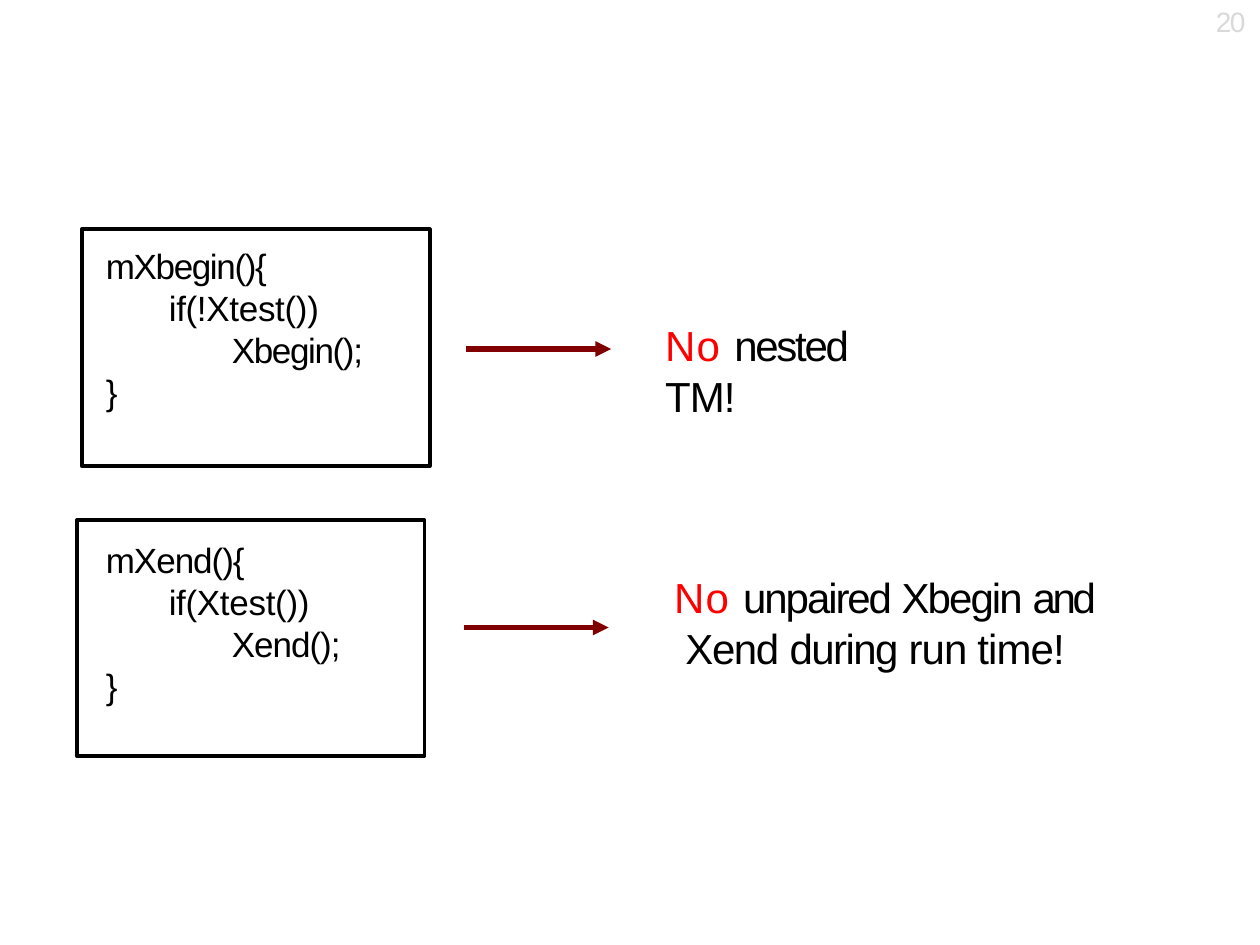
from pptx import Presentation
from pptx.dml.color import RGBColor
from pptx.enum.shapes import MSO_CONNECTOR, MSO_SHAPE
from pptx.enum.text import MSO_ANCHOR
from pptx.oxml.ns import qn
from pptx.util import Inches, Pt
from lxml.etree import SubElement

BLACK, RED, MAROON, GREY = "000000", "FF0000", "800000", "D9D9D9"
TAB = 0.5  # inches per code indent level

# Runs are (text, colour, letter spacing in points); lines are (indent, runs).
PAGE_NUMBER = [(0.01, [("20", GREY, -0.9)])]
ROWS = [
    {
        "box": (0.65, 1.82, 2.76, 1.88), "margins": (0.19, 0.12),
        "code": [(0, "mXbegin(){", -0.8), (1, "if(!Xtest())", -0.2),
                 (2, "Xbegin();", -0.8), (0, "}", -0.1)],
        "arrow": (3.7, 2.77),
        "label": (5.27, 2.53, 2.06, 0.83),
        "claim": [(0.01, [("No ", RED, 0.7), ("nested", BLACK, -1.3)]),
                  (0.01, [("TM!", BLACK, -0.6)])],
    },
    {
        "box": (0.61, 4.13, 2.76, 1.87), "margins": (0.23, 0.14),
        "code": [(0, "mXend(){", -0.6), (1, "if(Xtest())", -0.2),
                 (2, "Xend();", -0.6), (0, "}", -0.1)],
        "arrow": (3.68, 4.98),
        "label": (5.34, 4.53, 3.5, 0.83),
        "claim": [(0.01, [("No ", RED, 0.7), ("unpaired ", BLACK, -1.2),
                          ("Xbegin ", BLACK, -1.1), ("and", BLACK, -1.9)]),
                  (0.1, [("Xend ", BLACK, -0.8), ("during ", BLACK, -0.9),
                         ("run time!", BLACK, -0.5)])],
    },
]
ARROW_LENGTH = 1.15


def rgb(value):
    return RGBColor.from_string(value)


def write(s, lines, size, top=0.01):
    tf = s.text_frame
    tf.word_wrap = True
    tf.vertical_anchor = MSO_ANCHOR.TOP
    tf.margin_left = tf.margin_right = tf.margin_bottom = 0
    tf.margin_top = Inches(top)
    for i, (indent, runs) in enumerate(lines):
        p = tf.add_paragraph() if i else tf.paragraphs[0]
        pPr = p._p.get_or_add_pPr()
        pPr.set("marL", str(Inches(indent)))
        pPr.set("indent", "0")
        pPr.set("algn", "l")
        for text, color, spacing in runs:
            r = p.add_run()
            r.text = text
            r.font.name = "Arial"
            r.font.size = Pt(size)
            r.font.color.rgb = rgb(color)
            r._r.get_or_add_rPr().set("spc", str(round(spacing * 100)))


def add_label(slide, place, lines, size):
    write(slide.shapes.add_textbox(*map(Inches, place)), lines, size)


def add_code_box(slide, place, margins, code):
    s = slide.shapes.add_shape(MSO_SHAPE.RECTANGLE, *map(Inches, place))
    s.shadow.inherit = False
    s.fill.background()
    s.line.color.rgb = rgb(BLACK)
    s.line.width = Pt(2.25)
    left, top = margins
    lines = [(left + level * TAB, [(text, BLACK, spacing)])
             for level, text, spacing in code]
    write(s, lines, 20, top)


def add_arrow(slide, x, y):
    s = slide.shapes.add_connector(
        MSO_CONNECTOR.STRAIGHT,
        Inches(x), Inches(y), Inches(x + ARROW_LENGTH), Inches(y))
    s.line.color.rgb = rgb(MAROON)
    s.line.width = Pt(3)
    SubElement(s.line._get_or_add_ln(), qn("a:tailEnd"), type="triangle")
    SubElement(s._element.spPr, qn("a:effectLst"))


prs = Presentation()
prs.slide_width, prs.slide_height = Inches(10), Inches(7.5)
slide = prs.slides.add_slide(prs.slide_layouts[6])

add_label(slide, (9.64, 0.03, 0.25, 0.3), PAGE_NUMBER, 16)
for row in ROWS:
    add_code_box(slide, row["box"], row["margins"], row["code"])
    add_arrow(slide, *row["arrow"])
    add_label(slide, row["label"], row["claim"], 24)

prs.save("out.pptx")
